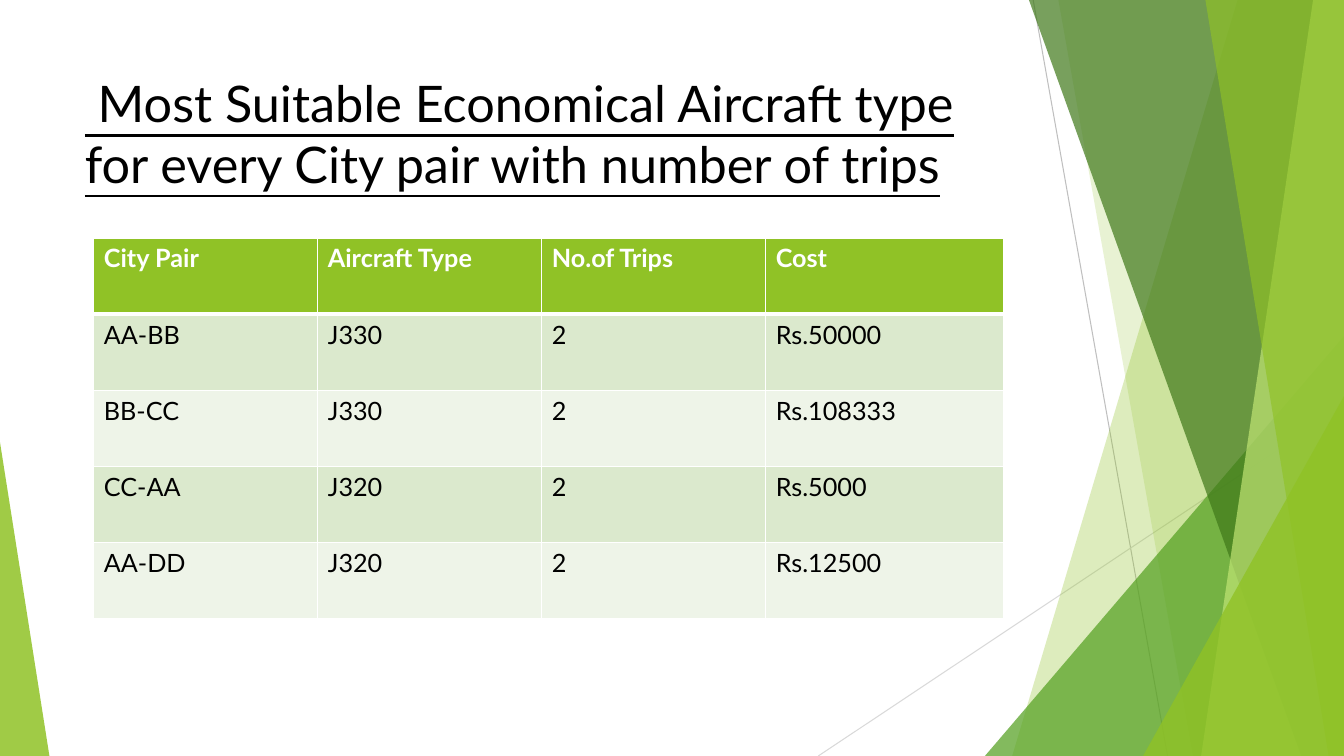
from lxml import etree
from pptx import Presentation
from pptx.dml.color import RGBColor
from pptx.enum.shapes import MSO_CONNECTOR, MSO_SHAPE
from pptx.enum.text import MSO_ANCHOR
from pptx.oxml.ns import qn
from pptx.util import Pt

STRAIGHT = MSO_CONNECTOR.STRAIGHT
TRIANGLE = MSO_SHAPE.ISOSCELES_TRIANGLE
TOP = MSO_ANCHOR.TOP

BLACK = RGBColor(0x00, 0x00, 0x00)
WHITE = RGBColor(0xFF, 0xFF, 0xFF)
LIME = RGBColor(0x90, 0xC2, 0x26)
GREEN = RGBColor(0x54, 0xA0, 0x21)
FOREST = RGBColor(0x3F, 0x78, 0x19)
PALE_LIME = RGBColor(0xC0, 0xE4, 0x74)
GREY = RGBColor(0xBF, 0xBF, 0xBF)
LIGHT_GREY = RGBColor(0xD9, 0xD9, 0xD9)
ROW_DARK = RGBColor(0xDB, 0xE9, 0xCD)
ROW_LIGHT = RGBColor(0xEE, 0xF4, 0xE8)

FONT = "Lato"
WIDTH, HEIGHT = 960, 540


def add_text(p, text, size=18, color=BLACK, bold=False, underline=False):
    r = p.add_run()
    r.text = text
    r.font.name = FONT
    r.font.size = Pt(size)
    r.font.color.rgb = color
    r.font.bold = bold
    r.font.underline = underline


def paint(sp, color, opacity):
    sp.shadow.inherit = False
    sp.line.fill.background()
    sp.fill.solid()
    sp.fill.fore_color.rgb = color
    clr = sp.fill._xPr.find(qn("a:solidFill"))[0]
    etree.SubElement(clr, qn("a:alpha"), val=str(opacity * 1000))


prs = Presentation()
prs.slide_width, prs.slide_height = Pt(WIDTH), Pt(HEIGHT)
s = prs.slides.add_slide(prs.slide_layouts[6])

# Thin background lines
for x1, y1, x2, y2, color in [
    (738, 0, 834, HEIGHT, GREY),
    (WIDTH, 290, 584.5, HEIGHT, LIGHT_GREY),
]:
    line = s.shapes.add_connector(STRAIGHT, Pt(x1), Pt(y1), Pt(x2), Pt(y2))
    line.line.color.rgb = color
    line.line.width = Pt(0.75)
    etree.SubElement(line._element.spPr, qn("a:effectLst"))

# Facets: bands run to the right edge, triangles stand on the bottom edge
facets = [
    ("band", (884, 723), LIME, 30),
    ("band", (756, 852), LIME, 20),
    ("triangle", (703.5, 256.5, 240, 1), GREEN, 72),
    ("band", (735, 929.5), FOREST, 70),
    ("band", (938, 858), PALE_LIME, 70),
    ("band", (861, 949), LIME, 65),
    ("triangle", (816.5, 143.5, 283, 1), LIME, 80),
    ("triangle", (0, 35.3, 316, 0), LIME, 85),
]
for kind, geometry, color, opacity in facets:
    if kind == "band":
        top_x, bottom_x = geometry
        outline = s.shapes.build_freeform(Pt(top_x), 0)
        corners = [(WIDTH, 0), (WIDTH, HEIGHT), (bottom_x, HEIGHT)]
        outline.add_line_segments([(Pt(x), Pt(y)) for x, y in corners])
        sp = outline.convert_to_shape()
    else:
        left, width, top, apex = geometry
        sp = s.shapes.add_shape(TRIANGLE, Pt(left), Pt(top), Pt(width), Pt(HEIGHT - top))
        sp.adjustments[0] = apex
    paint(sp, color, opacity)

# Title
title = s.shapes.add_textbox(Pt(53.5), Pt(48), Pt(677), Pt(104))
tf = title.text_frame
tf.word_wrap = True
tf.vertical_anchor = TOP
add_text(tf.paragraphs[0], " Most Suitable Economical Aircraft type for every City pair "
         "with number of trips", size=36, underline=True)

# Trips table
rows = [
    ("City Pair", "Aircraft Type", "No.of Trips", "Cost"),
    ("AA-BB", "J330", "2", "Rs.50000"),
    ("BB-CC", "J330", "2", "Rs.108333"),
    ("CC-AA", "J320", "2", "Rs.5000"),
    ("AA-DD", "J320", "2", "Rs.12500"),
]
col_widths = [160, 160, 160, 170]
row_height = 54.4
table = s.shapes.add_table(len(rows), len(col_widths), Pt(67), Pt(170),
                           Pt(sum(col_widths)), Pt(row_height * len(rows))).table
for column, width in zip(table.columns, col_widths):
    column.width = Pt(width)

for i, row in enumerate(rows):
    table.rows[i].height = Pt(row_height)
    header = i == 0
    fill = LIME if header else (ROW_LIGHT, ROW_DARK)[i % 2]
    for j, text in enumerate(row):
        cell = table.cell(i, j)
        add_text(cell.text_frame.paragraphs[0], text,
                 color=WHITE if header else BLACK, bold=header)
        # White borders, thicker under the header; they precede the fill in the XML
        tcPr = cell._tc.get_or_add_tcPr()
        for side in ("lnL", "lnR", "lnT", "lnB"):
            thick = (i, side) in [(0, "lnB"), (1, "lnT")]
            ln = etree.SubElement(tcPr, qn(f"a:{side}"), w=str(Pt(3 if thick else 1)))
            solid = etree.SubElement(ln, qn("a:solidFill"))
            etree.SubElement(solid, qn("a:srgbClr"), val=str(WHITE))
        cell.fill.solid()
        cell.fill.fore_color.rgb = fill

prs.save("out.pptx")
